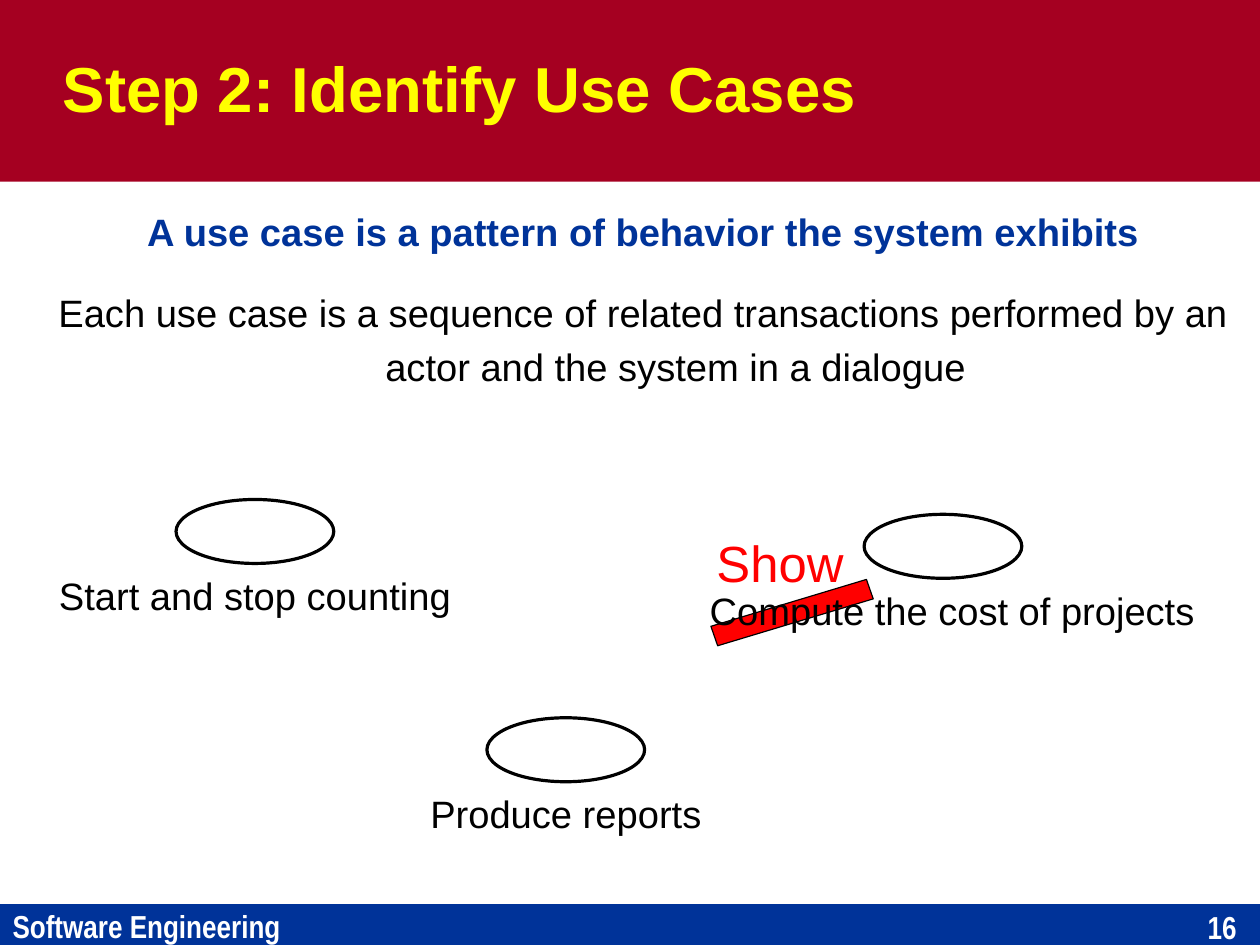
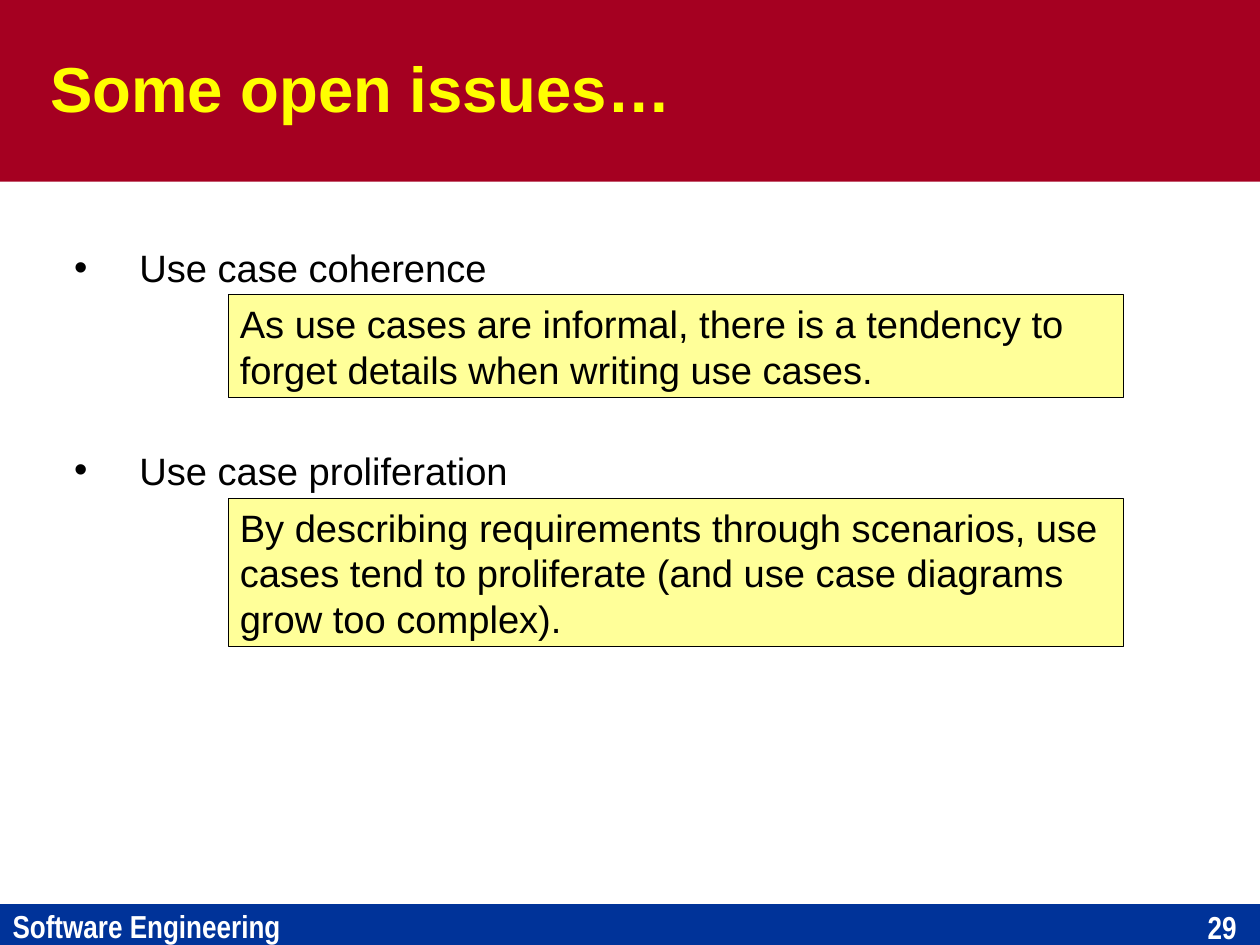
from dataclasses import dataclass

from lxml import etree
from pptx import Presentation
from pptx.dml.color import RGBColor
from pptx.enum.shapes import MSO_SHAPE
from pptx.enum.text import MSO_ANCHOR, MSO_AUTO_SIZE, PP_ALIGN
from pptx.oxml.ns import qn
from pptx.util import Inches, Pt

RECTANGLE, OVAL = MSO_SHAPE.RECTANGLE, MSO_SHAPE.OVAL
PARALLELOGRAM = MSO_SHAPE.PARALLELOGRAM
TOP, MIDDLE = MSO_ANCHOR.TOP, MSO_ANCHOR.MIDDLE
LEFT, CENTER, RIGHT = PP_ALIGN.LEFT, PP_ALIGN.CENTER, PP_ALIGN.RIGHT
NO_FIT, FIT_SHAPE = MSO_AUTO_SIZE.NONE, MSO_AUTO_SIZE.SHAPE_TO_FIT_TEXT

# The page measures 28 by 21 centimetres.
WIDTH, HEIGHT = 28 / 2.54, 21 / 2.54
TITLE_ONLY = 5


@dataclass(frozen=True)
class Theme:
    band: str = "A50021"
    footer: str = "003399"
    title: str = "FFFF00"
    emphasis: str = "003399"
    text: str = "000000"
    light: str = "FFFFFF"
    note: str = "FFFF99"
    alert: str = "FF0000"
    font: str = "Arial"
    footer_font: str = "Arial Narrow"
    title_size: int = 40
    alert_size: int = 32
    body_size: int = 24
    footer_size: int = 20
    line_spacing: float = 1.2
    body_space: float = 16.5
    hanging: float = 0.57


THEME = Theme()


def style_paragraph(paragraph, size=THEME.body_size, color=THEME.text,
                    bold=False, font=THEME.font, align=LEFT):
    paragraph.alignment = align
    for run in paragraph.runs:
        run.font.name = font
        run.font.size = Pt(size)
        run.font.bold = bold
        run.font.color.rgb = RGBColor.from_string(color)


def set_frame(frame, margins=(0.1, 0.05), anchor=TOP, wrap=True, fit=NO_FIT):
    frame.margin_left = frame.margin_right = Inches(margins[0])
    frame.margin_top = frame.margin_bottom = Inches(margins[1])
    frame.vertical_anchor = anchor
    frame.word_wrap = wrap
    frame.auto_size = fit


def add_text(slide, box, text, frame_options=None, **style):
    """Add a text box; each line of text becomes a paragraph."""
    shape = slide.shapes.add_textbox(*map(Inches, box))
    set_frame(shape.text_frame, **(frame_options or {}))
    shape.text_frame.text = text
    for paragraph in shape.text_frame.paragraphs:
        style_paragraph(paragraph, **style)
    return shape


def add_outline(slide, kind, box, fill=None, line_width=None):
    shape = slide.shapes.add_shape(kind, *map(Inches, box))
    shape.shadow.inherit = False
    if fill:
        shape.fill.solid()
        shape.fill.fore_color.rgb = RGBColor.from_string(fill)
    else:
        shape.fill.background()
    if line_width:
        shape.line.color.rgb = RGBColor.from_string(THEME.text)
        shape.line.width = Pt(line_width)
    else:
        shape.line.fill.background()
    return shape


def set_hanging(paragraph, bullet=None):
    paragraph.line_spacing = THEME.line_spacing
    paragraph.space_before = Pt(THEME.body_space)
    properties = paragraph._p.get_or_add_pPr()
    properties.set("marL", str(Inches(THEME.hanging)))
    properties.set("indent", str(-Inches(THEME.hanging)))
    if bullet:
        etree.SubElement(properties, qn("a:buFont")).set("typeface", THEME.font)
        etree.SubElement(properties, qn("a:buChar")).set("char", bullet)


def move_bands_to_layout(slide):
    """Draw the bands and footer text, then hand them to the slide's layout."""
    bands = [
        add_outline(slide, RECTANGLE, (0, 7.91, WIDTH, HEIGHT - 7.91), THEME.footer),
        add_outline(slide, RECTANGLE, (0, 0, WIDTH, 1.59), THEME.band),
        add_text(slide, (0, 7.87, 2.57, 0.44), "Software Engineering",
                 dict(margins=(0.11, 0.06), wrap=False, fit=FIT_SHAPE),
                 size=THEME.footer_size, color=THEME.light, bold=True,
                 font=THEME.footer_font),
    ]
    tree = slide.slide_layout.shapes._spTree
    for number, shape in enumerate(bands, start=20):
        shape._element.nvSpPr.cNvPr.set("id", str(number))
        tree.append(shape._element)


def add_titled_slide(presentation, title, title_box, number):
    slide = presentation.slides.add_slide(presentation.slide_layouts[TITLE_ONLY])
    shape = slide.shapes.title
    shape.left, shape.top, shape.width, shape.height = map(Inches, title_box)
    set_frame(shape.text_frame, margins=(0, 0), anchor=MIDDLE)
    shape.text_frame.text = title
    style_paragraph(shape.text_frame.paragraphs[0], THEME.title_size,
                    THEME.title, bold=True)
    add_text(slide, (10.2, 7.93, 0.73, 0.37), str(number),
             dict(margins=(0.11, 0.01)), size=THEME.footer_size,
             color=THEME.light, bold=True, font=THEME.footer_font, align=RIGHT)
    return slide


def add_use_case(slide, left, top, label, label_width, label_shift=0):
    """Add an oval with its label centred below, shifted sideways if asked."""
    width, height = 1.38, 0.56
    add_outline(slide, OVAL, (left, top, width, height), line_width=2)
    label_left = left + (width - label_width) / 2 + label_shift
    add_text(slide, (label_left, top + height + 0.02, label_width, 0.51), label,
             dict(margins=(0.05, 0.05), anchor=MIDDLE, wrap=False, fit=FIT_SHAPE),
             align=CENTER)


def add_show_bar(slide, box):
    bar = add_outline(slide, PARALLELOGRAM, box, THEME.alert, 0.75)
    bar.rotation = 70.8
    bar.adjustments[0] = 0.25


def build_use_cases(presentation):
    slide = add_titled_slide(presentation, "Step 2: Identify Use Cases",
                             (0.55, 0.21, 7.01, 1.1), 16)
    definition = add_text(
        slide, (0.39, 1.69, 10.47, 2.21),
        "A use case is a pattern of behavior the system exhibits\n"
        "Each use case is a sequence of related transactions performed by an "
        "actor and the system in a dialogue", align=CENTER)
    paragraphs = definition.text_frame.paragraphs
    style_paragraph(paragraphs[0], color=THEME.emphasis, bold=True, align=CENTER)
    for paragraph in paragraphs:
        set_hanging(paragraph)
    add_use_case(slide, 4.26, 6.28, "Produce reports", 2.59)
    add_use_case(slide, 1.54, 4.37, "Start and stop counting", 3.65)
    add_show_bar(slide, (6.81, 4.65, 0.24, 1.42))
    add_use_case(slide, 7.56, 4.5, "Compute the cost of projects", 4.46, 0.08)
    add_text(slide, (6.17, 4.6, 1.31, 0.64), "Show",
             dict(wrap=False, fit=FIT_SHAPE), size=THEME.alert_size,
             color=THEME.alert, align=CENTER)
    return slide


def add_note(slide, box, text):
    shape = add_outline(slide, RECTANGLE, box, THEME.note, 0.75)
    set_frame(shape.text_frame, fit=FIT_SHAPE)
    shape.text_frame.text = text
    style_paragraph(shape.text_frame.paragraphs[0])


def build_open_issues(presentation):
    slide = add_titled_slide(presentation, "Some open issues…",
                             (0.44, 0.21, 10.2, 1.1), 29)
    issues = add_text(slide, (0.55, 2.01, 9.92, 5.46),
                      "Use case coherence\nUse case proliferation")
    paragraphs = issues.text_frame.paragraphs
    for paragraph in paragraphs:
        set_hanging(paragraph, "•")
    paragraphs[1].space_before = Pt(93)
    add_note(slide, (2, 2.58, 7.83, 0.9),
             "As use cases are informal, there is a tendency to forget details "
             "when writing use cases.")
    add_note(slide, (2, 4.36, 7.83, 1.3),
             "By describing requirements through scenarios, use cases tend to "
             "proliferate (and use case diagrams grow too complex).")


def main():
    presentation = Presentation()
    presentation.slide_width = Inches(WIDTH)
    presentation.slide_height = Inches(HEIGHT)
    move_bands_to_layout(build_use_cases(presentation))
    build_open_issues(presentation)
    presentation.save("out.pptx")


if __name__ == "__main__":
    main()
